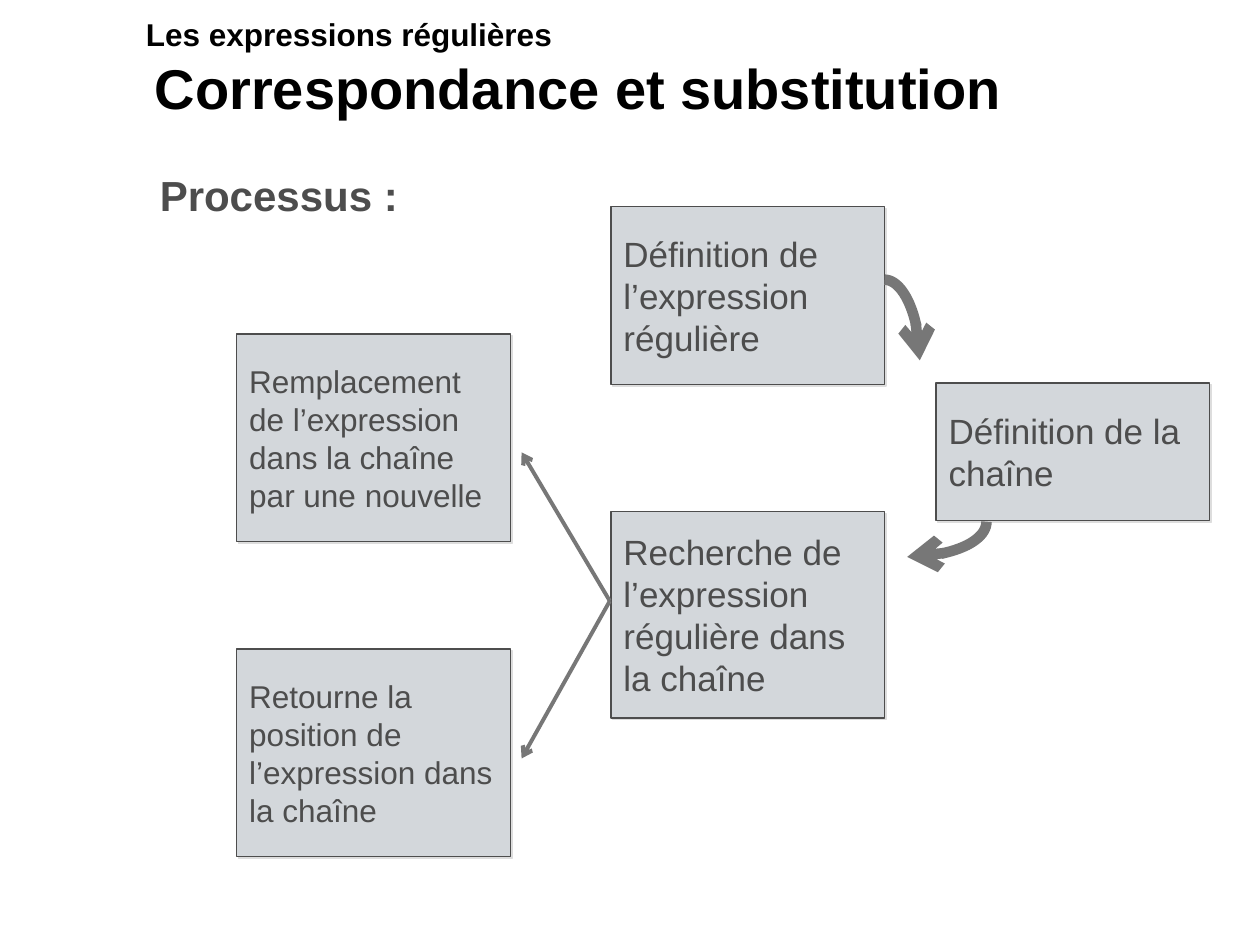
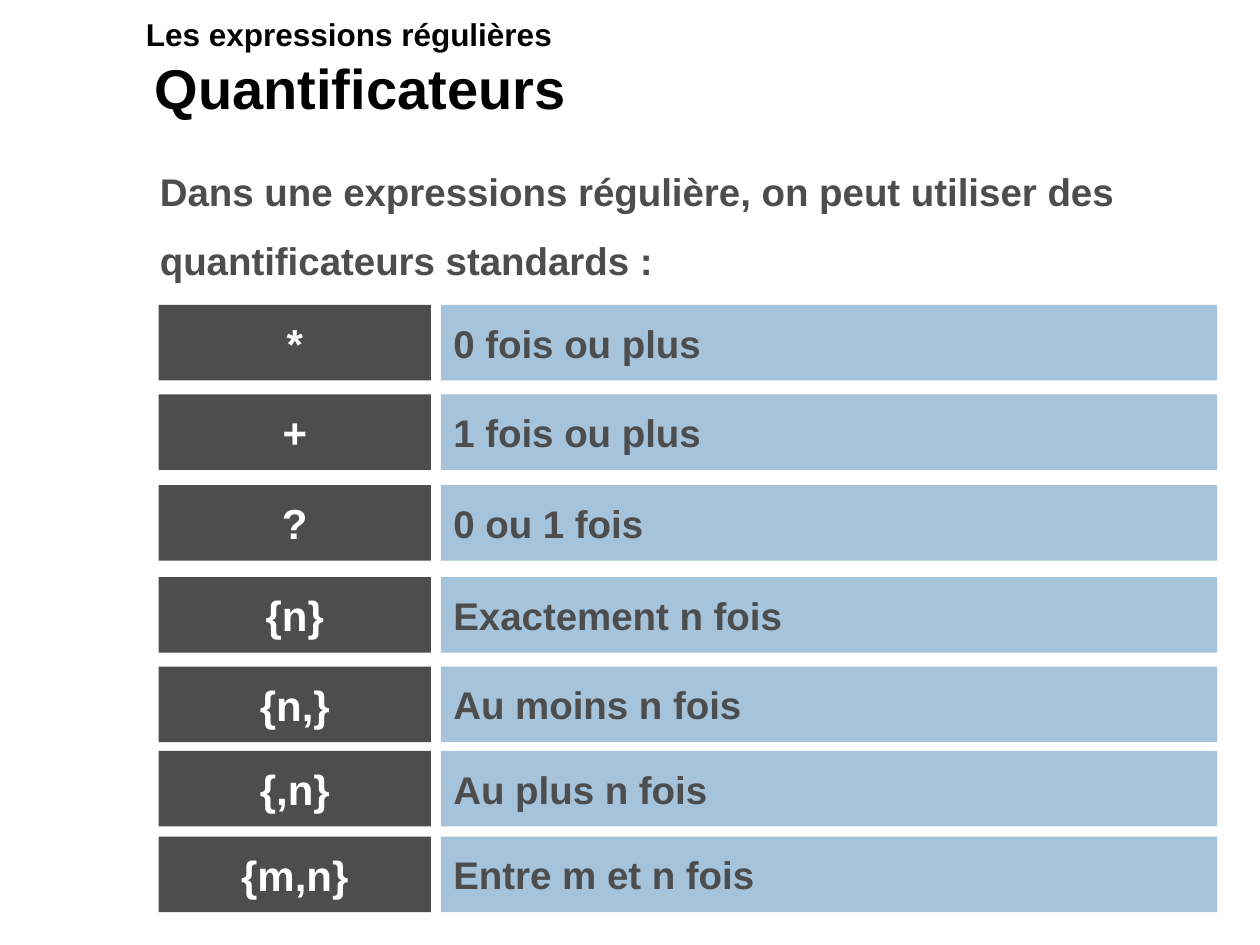
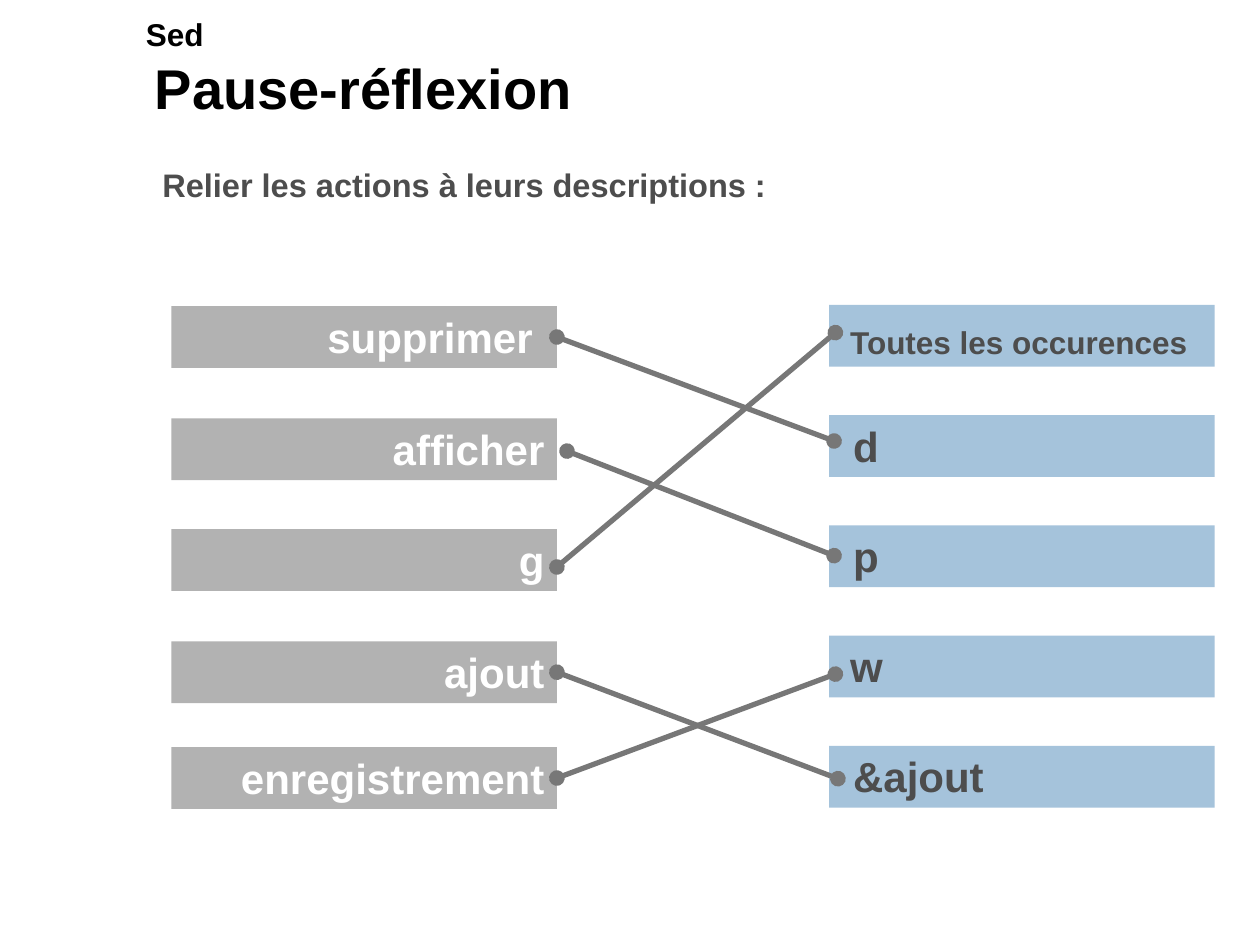
from lxml import etree
from pptx import Presentation
from pptx import util as u
from pptx.dml.color import RGBColor
from pptx.enum import shapes, text
from pptx.oxml.ns import qn

# Shared style
FONT = "Arial"
BLACK = RGBColor(0x00, 0x00, 0x00)
WHITE = RGBColor(0xFF, 0xFF, 0xFF)
DARK = RGBColor(0x4D, 0x4D, 0x4D)
ARROW_GREY = RGBColor(0x77, 0x77, 0x77)
LABEL_GREY = RGBColor(0xB2, 0xB2, 0xB2)
BOX_GREY = RGBColor(0xD3, 0xD7, 0xDB)
SHADOW_GREY = RGBColor(0xDD, 0xDD, 0xDD)
BLUE = RGBColor(0xA5, 0xC3, 0xDB)
LEFT, CENTER, RIGHT = text.PP_ALIGN.LEFT, text.PP_ALIGN.CENTER, text.PP_ALIGN.RIGHT
TOP, MIDDLE = text.MSO_ANCHOR.TOP, text.MSO_ANCHOR.MIDDLE

# Slide 1: left, top, height, font size, text
STEP_WIDTH = 2.17
RESULT_COLUMN, SEARCH_COLUMN, STRING_COLUMN = 1.88, 4.85, 7.43
STEPS = [
    (SEARCH_COLUMN, 1.64, 1.41, 20, "Définition de l’expression régulière"),
    (STRING_COLUMN, 3.04, 1.09, 20, "Définition de la chaîne"),
    (SEARCH_COLUMN, 4.06, 1.64, 20, "Recherche de l’expression régulière dans la chaîne"),
    (RESULT_COLUMN, 2.65, 1.65, 18,
     "Remplacement de l’expression dans la chaîne par une nouvelle"),
    (RESULT_COLUMN, 5.15, 1.65, 18, "Retourne la position de l’expression dans la chaîne"),
]
CURVES = [  # start, two control points, end
    ((7.02, 2.22), (7.17, 2.22), (7.3, 2.51), (7.3, 2.86)),
    ((7.83, 4.14), (7.83, 4.3), (7.55, 4.42), (7.2, 4.42)),
]
CURVE_STEPS = 24
SEARCH_EXIT = (4.84, 4.77)
RESULT_ENTRIES = [(4.14, 3.59), (4.14, 6.02)]

# Slide 2: top, symbol, meaning
QUANTIFIERS = [
    (2.42, "*", "0 fois ou plus"),
    (3.13, "+", "1 fois ou plus"),
    (3.85, "?", "0 ou 1 fois"),
    (4.58, "{n}", "Exactement n fois"),
    (5.29, "{n,}", "Au moins n fois"),
    (5.96, "{,n}", "Au plus n fois"),
    (6.64, "{m,n}", "Entre m et n fois"),
]
SYMBOL_LEFT, SYMBOL_WIDTH = 1.26, 2.16
MEANING_LEFT, MEANING_WIDTH = 3.5, 6.16
QUANTIFIER_HEIGHT = 0.6

# Slide 3: top and text of each action, runs of each description
ACTIONS = [(2.43, "supprimer "), (3.32, "afficher"), (4.2, "g"),
           (5.09, "ajout"), (5.93, "enregistrement")]
DESCRIPTIONS = [
    [(" Toutes les occurences", 18)],
    [(" d", 24)],
    [(" p", 24)],
    [(" ", 18), ("w", 24)],
    [(" &ajout", 24)],
]
ACTION_LEFT, DESCRIPTION_LEFT = 1.36, 6.58
CARD_WIDTH, CARD_HEIGHT = 3.06, 0.49
DESCRIPTION_TOP, DESCRIPTION_PITCH = 2.42, 0.875
CARD_SPACING = dict(line=u.Pt(28), after=20)
ANSWERS = [  # action index, start, end, whether it starts at the middle of the side
    (0, (4.42, 2.67), (6.62, 3.5), True),
    (2, (4.42, 4.5), (6.63, 2.64), False),
    (3, (4.42, 5.33), (6.65, 6.18), True),
    (4, (4.42, 6.17), (6.63, 5.35), True),
    (1, (4.5, 3.58), (6.62, 4.41), False),
]


def inches(*values):
    return [u.Inches(value) for value in values]


def write(shape, runs, color, bold=True, align=LEFT, anchor=MIDDLE,
          line=None, before=None, after=None):
    """Fill a shape with one paragraph made of (text, size) runs."""
    frame = shape.text_frame
    frame.word_wrap = True
    frame.vertical_anchor = anchor
    paragraph = frame.paragraphs[0]
    paragraph.alignment = align
    if line is not None:
        paragraph.line_spacing = line
    if before is not None:
        paragraph.space_before = u.Pt(before)
    if after is not None:
        paragraph.space_after = u.Pt(after)
    for words, size in runs:
        run = paragraph.add_run()
        run.text = words
        run.font.name = FONT
        run.font.size = u.Pt(size)
        run.font.bold = bold
        run.font.color.rgb = color


def add_text(slide, area, words, size, color, **style):
    write(slide.shapes.add_textbox(*inches(*area)), [(words, size)], color, **style)


def add_box(slide, area, fill, runs, color, **style):
    box = slide.shapes.add_shape(shapes.MSO_SHAPE.RECTANGLE, *inches(*area))
    box.shadow.inherit = False
    box.fill.solid()
    box.fill.fore_color.rgb = fill
    box.line.fill.background()
    write(box, runs, color, **style)
    return box


def outline_with_shadow(box):
    box.line.color.rgb = DARK
    box.line.width = u.Pt(0.75)
    effects = box.element.spPr.find(qn("a:effectLst"))
    shadow = etree.SubElement(effects, qn("a:outerShdw"), blurRad="0",
                              dist=str(u.Pt(1.4)), dir=str(45 * 60000),
                              algn="ctr", rotWithShape="0")
    etree.SubElement(shadow, qn("a:srgbClr"), val=str(SHADOW_GREY))


def style_line(shape, width, **ends):
    """Colour a line and set its ends, given as headEnd and tailEnd."""
    shape.line.color.rgb = ARROW_GREY
    shape.line.width = u.Pt(width)
    line = shape.element.spPr.find(qn("a:ln"))
    for end, kind in ends.items():
        etree.SubElement(line, qn(f"a:{end}"), type=kind)


def add_line(slide, start, end, width, **ends):
    connector = slide.shapes.add_connector(
        shapes.MSO_CONNECTOR.STRAIGHT, *inches(*start, *end))
    style_line(connector, width, **ends)
    etree.SubElement(connector.element.spPr, qn("a:effectLst"))
    return connector


def add_curved_arrow(slide, controls):
    """Draw a cubic Bézier curve as a fine open outline with an arrowhead."""
    points = []
    for step in range(CURVE_STEPS + 1):
        t = step / CURVE_STEPS
        weights = ((1 - t) ** 3, 3 * t * (1 - t) ** 2, 3 * t * t * (1 - t), t ** 3)
        points.append(inches(*(sum(w * p[axis] for w, p in zip(weights, controls))
                               for axis in (0, 1))))
    builder = slide.shapes.build_freeform(*points[0])
    builder.add_line_segments(points[1:], close=False)
    curve = builder.convert_to_shape()
    curve.shadow.inherit = False
    curve.fill.background()
    style_line(curve, 6, tailEnd="arrow")


def add_slide(presentation, chapter, title):
    slide = presentation.slides.add_slide(presentation.slide_layouts[6])
    add_text(slide, (1.13, 0.44, 8.45, 0.5), title, 32, BLACK)
    add_text(slide, (1.06, -0.08, 8.94, 0.55), chapter, 18, BLACK,
             anchor=TOP, line=1.5, before=11.2)
    return slide


def build_process(presentation):
    slide = add_slide(presentation, "Les expressions régulières",
                      "Correspondance et substitution")
    add_text(slide, (1.17, 1.1, 8.43, 0.7), "Processus :", 24, DARK, anchor=TOP, line=1.5)
    for left, top, height, size, words in STEPS:
        box = add_box(slide, (left, top, STEP_WIDTH, height), BOX_GREY,
                      [(words, size)], DARK, bold=False)
        outline_with_shadow(box)
    for controls in CURVES:
        add_curved_arrow(slide, controls)
    for entry in RESULT_ENTRIES:
        add_line(slide, SEARCH_EXIT, entry, 2.25, tailEnd="arrow")


def build_quantifiers(presentation):
    slide = add_slide(presentation, "Les expressions régulières", "Quantificateurs")
    add_text(slide, (1.17, 1.1, 8.52, 1.2),
             "Dans une expressions régulière, on peut utiliser des quantificateurs standards :",
             22, DARK, anchor=TOP, line=1.5)
    for top, symbol, meaning in QUANTIFIERS:
        add_box(slide, (SYMBOL_LEFT, top, SYMBOL_WIDTH, QUANTIFIER_HEIGHT), DARK,
                [(symbol, 24)], WHITE, align=CENTER, before=12.5)
        add_box(slide, (MEANING_LEFT, top, MEANING_WIDTH, QUANTIFIER_HEIGHT), BLUE,
                [(meaning, 22)], DARK, before=4.5, after=6.8)


def build_matching(presentation):
    slide = add_slide(presentation, "Sed", "Pause-réflexion")
    add_text(slide, (1.19, 1.17, 8.47, 0.5), "Relier les actions à leurs descriptions :",
             18.6, DARK, anchor=TOP, line=1.3)
    actions = [add_box(slide, (ACTION_LEFT, top, CARD_WIDTH, CARD_HEIGHT), LABEL_GREY,
                       [(words, 24)], WHITE, align=RIGHT, **CARD_SPACING)
               for top, words in ACTIONS]
    for row, runs in enumerate(DESCRIPTIONS):
        top = DESCRIPTION_TOP + row * DESCRIPTION_PITCH
        add_box(slide, (DESCRIPTION_LEFT, top, CARD_WIDTH, CARD_HEIGHT), BLUE,
                runs, DARK, **CARD_SPACING)
    for action, start, end, joined in ANSWERS:
        connector = add_line(slide, start, end, 3, headEnd="oval", tailEnd="oval")
        if joined:
            connector.begin_connect(actions[action], 3)


def main():
    presentation = Presentation()
    presentation.slide_width, presentation.slide_height = inches(10, 7.5)
    build_process(presentation)
    build_quantifiers(presentation)
    build_matching(presentation)
    presentation.save("out.pptx")


if __name__ == "__main__":
    main()
